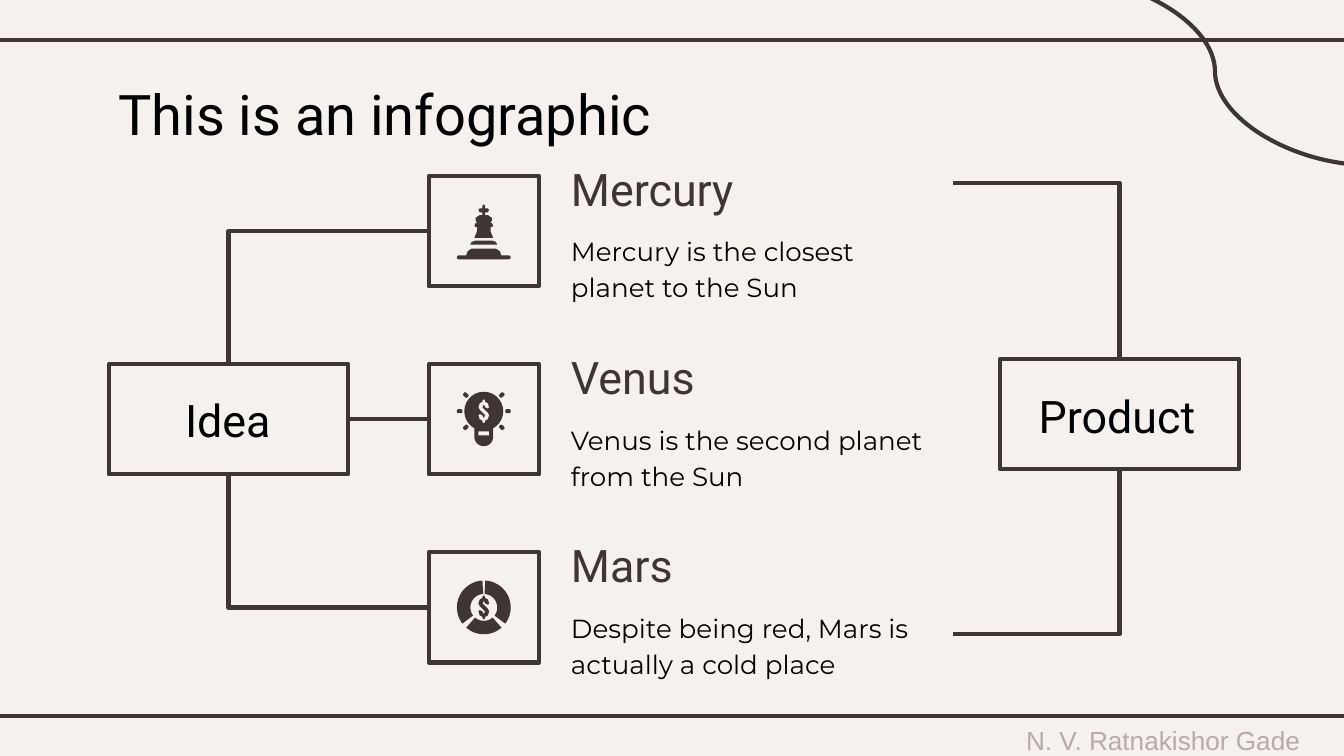
from math import cos, radians, sin

from lxml.etree import SubElement
from pptx import Presentation
from pptx.dml.color import RGBColor
from pptx.enum.shapes import MSO_CONNECTOR, MSO_SHAPE
from pptx.enum.text import MSO_ANCHOR, MSO_AUTO_SIZE, PP_ALIGN
from pptx.oxml.ns import qn
from pptx.util import Pt

PX = 9144  # EMU in one px, 100 px to the inch


class Theme:
    paper = RGBColor.from_string("F5F2EE")
    ink = RGBColor.from_string("3F3533")
    text = RGBColor.from_string("000000")
    muted = RGBColor.from_string("B8AAA7")
    heading_font, body_font, footer_font = "Roboto", "Montserrat", "Arial"
    title_size, heading_size, body_size = Pt(30), Pt(24), Pt(14)
    stroke = Pt(2.25)


# Content
TITLE = "This is an infographic"
FOOTER = "N. V. Ratnakishor Gade"
PLANETS = [
    ("Mercury", "Mercury is the closest planet to the Sun", "king"),
    ("Venus", "Venus is the second planet from the Sun", "bulb"),
    ("Mars", "Despite being red, Mars is actually a cold place", "ring"),
]
# name, frame, label box, label alignment
ENDS = [
    ("Idea", (81, 271, 178, 82), (99, 282, 141, 63), PP_ALIGN.CENTER),
    ("Product", (744, 267, 178, 82), (763, 279, 141, 63), PP_ALIGN.LEFT),
]

# Layout
SLIDE_WIDTH = 1000
ROW_TOP, ROW_PITCH = 110, 140
ICON_LEFT, ICON_SIZE, ICON_DROP = 319, 82, 21
TEXT_LEFT, TEXT_WIDTH, HEADING_H, BODY_H = 415, 294, 52, 59
RULES_Y = (30, 533)
CURVE = (788, -17, 1020, 123)
PRODUCT_STARTS = [(136, 0), (472, 2)]  # y, side of the product frame


# Icon outlines, in px from the centre of the icon's frame
def arc(cy, r, start, end):
    """Points on a circle around (0, cy), angles clockwise from the right."""
    steps = 24
    angles = [radians(start + (end - start) * i / steps) for i in range(steps + 1)]
    return [(r * cos(a), cy + r * sin(a)) for a in angles]


def mirror(half):
    return half + [(-x, y) for x, y in reversed(half)]


def dollar(cy):
    half = [(-1, -8), (0, -9), (1, -8), (1, -7), (3, -6), (4, -3), (3, -2), (1, -3),
            (0, -5), (-1, -3), (1, -1), (3, 1), (4, 3), (3, 6), (1, 7)]
    return [(x, cy + y) for x, y in half + [(-x, -y) for x, y in half]]


def ray(cy, angle):
    c, s = cos(radians(angle)), sin(radians(angle))
    bar = [(16, -1), (17, -1.5), (19, -1.5), (20, -1), (20, 1), (19, 1.5), (17, 1.5), (16, 1)]
    return [(x * c - y * s, cy + x * s + y * c) for x, y in bar]


BULB_Y = -6
# Each icon is a list of parts; a part's further outlines are holes.
ICONS = {
    "king": [[mirror(half)] for half in (
        [(0, 13), (9, 13), (12, 15), (13, 18), (19, 18), (20, 19), (20, 20), (19, 21), (0, 21)],
        [(0, 7), (6, 7), (9, 8), (10, 10), (0, 10)],
        [(0, -20), (1, -19), (1, -17), (3, -17), (4, -16), (3, -14), (1, -14), (1, -12),
         (3, -12), (6, -10), (6, -8), (5, -6), (6, -6), (7, -4), (6, -3), (5, -3),
         (5, 0), (7, 5), (0, 5)],
    )],
    "bulb": [[arc(BULB_Y, 14.5, 119, 421) + arc(13, 7, 0, 180), dollar(BULB_Y),
              [(-4, 9), (4, 9), (4, 12), (-4, 12)]]]
            + [[ray(BULB_Y, a)] for a in (0, 42, 138, 180, 222, 318)],
    "ring": [[arc(0, 20, a, b) + arc(0, 10, b, a)]
             for a, b in ((-87, 37), (49, 131), (143, 267))] + [[dollar(0)]],
}


def emu(*lengths):
    return [round(v * PX) for v in lengths]


def write(sp, text, font, size, color, align=PP_ALIGN.LEFT, anchor=MSO_ANCHOR.TOP, inset=10):
    tf = sp.text_frame
    tf.word_wrap, tf.auto_size, tf.vertical_anchor = True, MSO_AUTO_SIZE.NONE, anchor
    tf.margin_left = tf.margin_top = tf.margin_right = tf.margin_bottom = inset * PX
    p = tf.paragraphs[0]
    p.text, p.alignment = text, align
    p.font.name, p.font.size, p.font.color.rgb = font, size, color
    return p


def add_text(s, box, *args, **kwargs):
    return write(s.shapes.add_textbox(*emu(*box)), *args, **kwargs)


def add_frame(s, box):
    sp = s.shapes.add_shape(MSO_SHAPE.RECTANGLE, *emu(*box))
    sp.shadow.inherit = False
    sp.fill.background()
    sp.line.color.rgb, sp.line.width = Theme.ink, Theme.stroke
    return sp


def add_line(s, kind, x1=0, y1=0, x2=0, y2=0):
    line = s.shapes.add_connector(kind, *emu(x1, y1, x2, y2))
    line.line.color.rgb, line.line.width = Theme.ink, Theme.stroke
    SubElement(line._element.spPr, qn("a:effectLst"))
    return line


def add_elbow(s, x, y, frame, side):
    """Run across from (x, y), then turn once to the frame's top or bottom."""
    end_y = frame.top + (frame.height if side == 2 else 0)
    line = add_line(s, MSO_CONNECTOR.ELBOW, x, y,
                    (frame.left + frame.width / 2) / PX, end_y / PX)
    line._element.spPr.find(qn("a:prstGeom")).set("prst", "bentConnector2")
    line.end_connect(frame, side)
    return line


def add_icon(s, parts, cx, cy):
    group = s.shapes.add_group_shape()
    for outlines in parts:
        first, *holes = [[emu(cx + x, cy + y) for x, y in o] for o in outlines]
        fb = group.shapes.build_freeform(*first[0])
        fb.add_line_segments(first[1:], close=True)
        for hole in holes:
            fb.move_to(*hole[0])
            fb.add_line_segments(hole[1:], close=True)
        sp = fb.convert_to_shape()
        sp.shadow.inherit = False
        sp.fill.solid()
        sp.fill.fore_color.rgb = Theme.ink
        sp.line.fill.background()


def main():
    prs = Presentation()
    prs.slide_width = SLIDE_WIDTH * PX
    prs.slide_height = prs.slide_width * 9 // 16
    s = prs.slides.add_slide(prs.slide_layouts[5])
    s.background.fill.solid()
    s.background.fill.fore_color.rgb = Theme.paper

    add_text(s, (731, 541, 269, 19), FOOTER, Theme.footer_font, Theme.body_size, Theme.muted,
             PP_ALIGN.CENTER, MSO_ANCHOR.MIDDLE, inset=0)
    for y in RULES_Y:
        add_line(s, MSO_CONNECTOR.STRAIGHT, -8, y, SLIDE_WIDTH + 8, y)
    add_line(s, MSO_CONNECTOR.CURVE, *CURVE)

    title = s.shapes.title
    title.left, title.top, title.width, title.height = emu(78, 49, 844, 63)
    write(title, TITLE, Theme.heading_font, Theme.title_size, Theme.text)

    frames = {}
    for name, box, label_box, align in ENDS:
        frames[name] = add_frame(s, box)
        add_text(s, label_box, name, Theme.heading_font, Theme.heading_size, Theme.text, align)

    icon_frames = []
    for i, (name, fact, icon) in enumerate(PLANETS):
        top = ROW_TOP + i * ROW_PITCH
        add_text(s, (TEXT_LEFT, top, TEXT_WIDTH, HEADING_H), name,
                 Theme.heading_font, Theme.heading_size, Theme.ink)
        p = add_text(s, (TEXT_LEFT, top + HEADING_H, TEXT_WIDTH, BODY_H), fact,
                     Theme.body_font, Theme.body_size, Theme.text)
        p.line_spacing, p.space_after = 1.15, Pt(12)
        icon_top, half = top + ICON_DROP, ICON_SIZE // 2
        icon_frames.append(add_frame(s, (ICON_LEFT, icon_top, ICON_SIZE, ICON_SIZE)))
        add_icon(s, ICONS[icon], ICON_LEFT + half, icon_top + half)

    upper, middle, lower = icon_frames
    link = add_line(s, MSO_CONNECTOR.STRAIGHT)
    link.begin_connect(frames["Idea"], 3)
    link.end_connect(middle, 1)
    for frame, side in ((upper, 0), (lower, 2)):
        y = (frame.top + frame.height / 2) / PX
        add_elbow(s, ICON_LEFT, y, frames["Idea"], side).begin_connect(frame, 1)
    for y, side in PRODUCT_STARTS:
        add_elbow(s, TEXT_LEFT + TEXT_WIDTH, y, frames["Product"], side)

    prs.save("out.pptx")


if __name__ == "__main__":
    main()
